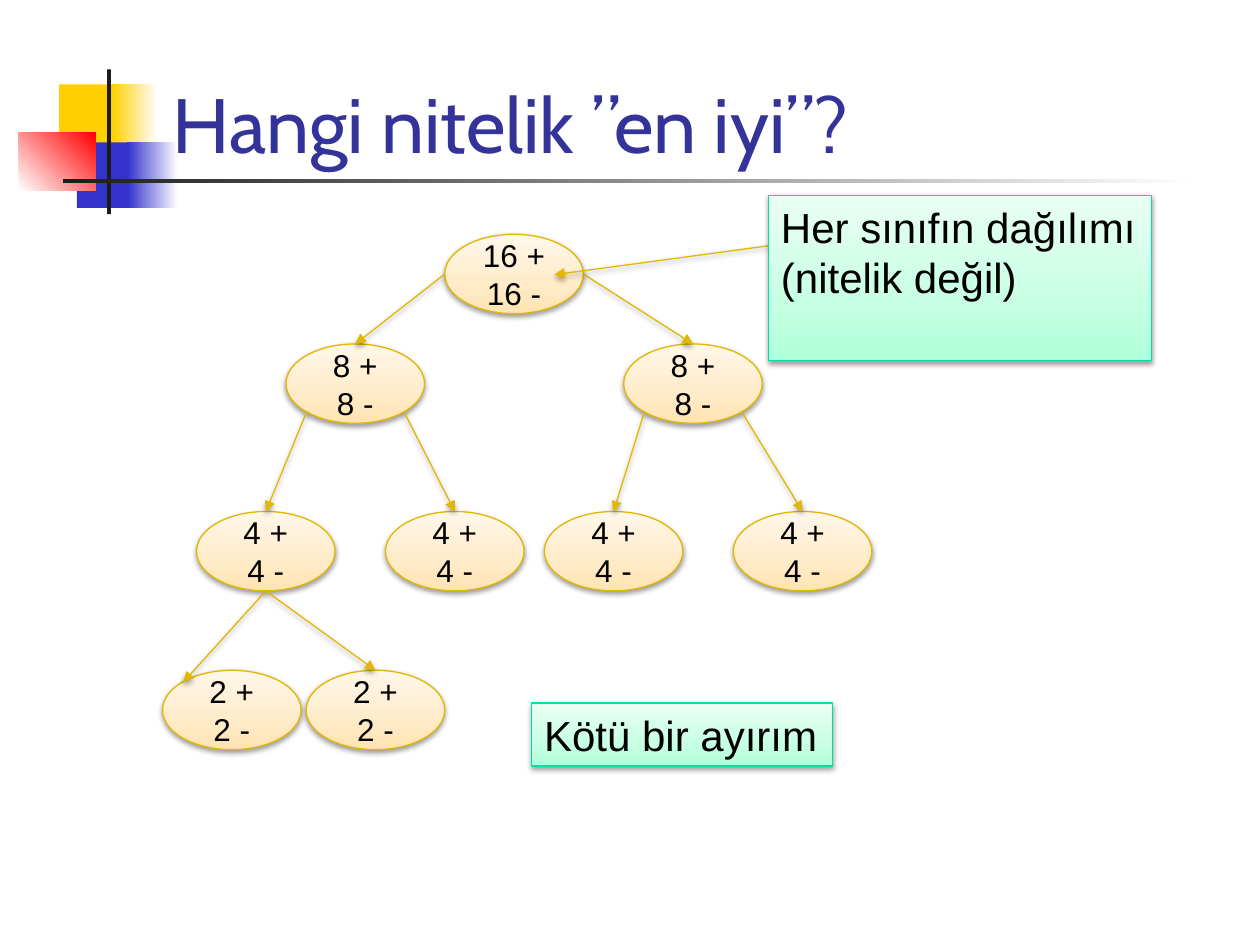
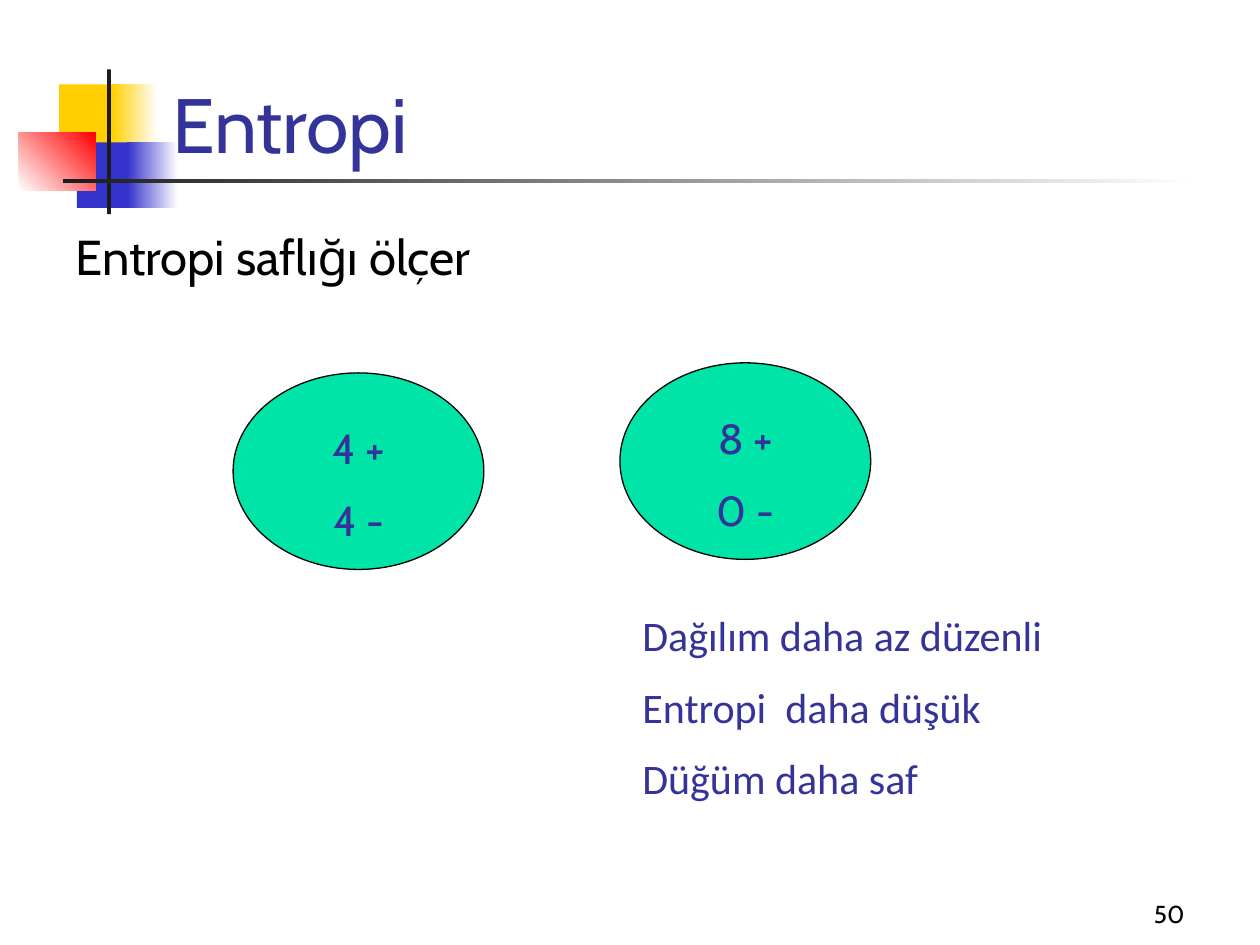
from lxml.etree import SubElement
from pptx import Presentation
from pptx.dml.color import RGBColor
from pptx.enum.shapes import MSO_CONNECTOR, MSO_SHAPE
from pptx.enum.text import MSO_ANCHOR, PP_ALIGN
from pptx.oxml.ns import qn
from pptx.util import Inches, Pt

BLACK, NAVY, GREEN, GOLD = "000000", "333399", "00E4A8", "E3B700"
CREAM = [(0, "FFE4B1"), (35, "FFEBC8"), (100, "FFF7EA")]
MINT = [(0, "B0FFDA"), (35, "C7FFE4"), (100, "EAFFF4")]


def fade(first, last):
    return [(0, first), (100, last)]


# place, fill, gradient angle (counter-clockwise)
BANDS = [
    ((0.47, 0.67, 0.48, 0.52), "FFCF01", 0),
    ((0.89, 0.67, 0.36, 0.52), fade("FFCF01", "FFFFFF"), 0),
    ((0.61, 1.13, 0.46, 0.52), "3333CC", 0),
    ((1.01, 1.13, 0.4, 0.52), fade("3333CC", "FFFFFF"), 0),
    ((0.15, 1.05, 0.61, 0.46), fade("FFFFFF", "FF0000"), 45),
    ((0.85, 0.55, 0.03, 1.15), "1C1C1C", 0),
    ((0.5, 1.42, 9, 0.03), fade("1C1C1C", "FFFFFF"), 0),
]

# Tree levels: top, count in each class, left edge of each node
NODE_W, NODE_H = 1.1, 0.63
LEVELS = [
    (1.86, 16, [3.53]),
    (2.73, 8, [2.27, 4.95]),
    (4.06, 4, [1.56, 3.06, 4.32, 5.82]),
    (5.32, 2, [1.29, 2.43]),
]
# Points on an ellipse, as shares of its width and height
SPOTS = {"top": (0.5, 0), "left": (0, 0.5), "right": (1, 0.5), "bottom": (0.5, 1),
         "nw": (0.15, 0.15), "sw": (0.15, 0.85), "se": (0.85, 0.85)}
# parent, spot on parent, child, spot on child
EDGES = [
    (0, "left", 1, "top"), (0, "right", 2, "top"),
    (1, "sw", 3, "top"), (1, "se", 4, "top"),
    (2, "sw", 5, "top"), (2, "se", 6, "top"),
    (3, "bottom", 7, "nw"), (3, "bottom", 8, "top"),
]
POINTER = ((6.18, 1.94), (4.4, 2.18))
NOTES = [
    ((4.22, 5.58, 2.39, 0.5), ["Kötü bir ayırım"]),
    ((6.1, 1.55, 3.04, 1.31), ["Her sınıfın dağılımı", "(nitelik değil)"]),
]

SETS = [((1.85, 2.96), ["4 +", "4 -"]), ((4.92, 2.88), ["8 +", "0 -"])]
FACTS = ["Dağılım daha az düzenli", "Entropi  daha düşük", "Düğüm daha saf"]


def color(code):
    return RGBColor.from_string(code)


def inches(place):
    return [Inches(n) for n in place]


def paint(shape, fill, angle=0):
    """Fill with one colour, or with a list of gradient stops."""
    if isinstance(fill, str):
        shape.fill.solid()
        shape.fill.fore_color.rgb = color(fill)
        return
    shape.fill.gradient()
    shape.fill.gradient_angle = angle
    stops = shape._element.spPr.find(".//" + qn("a:gsLst"))
    for old in list(stops):
        stops.remove(old)
    for spot, code in fill:
        stop = SubElement(stops, qn("a:gs"), pos=str(spot * 1000))
        SubElement(stop, qn("a:srgbClr"), val=code)


def shade(shape):
    """Give a soft shadow just below the shape."""
    props = shape._element.spPr
    effects = props.find(qn("a:effectLst"))
    if effects is None:
        effects = SubElement(props, qn("a:effectLst"))
    outer = SubElement(effects, qn("a:outerShdw"), blurRad="40000", dist="20000",
                       dir="5400000", rotWithShape="0")
    tint = SubElement(outer, qn("a:srgbClr"), val=BLACK)
    SubElement(tint, qn("a:alpha"), val="38000")


def draw(slide, kind, place, fill, line=None, angle=0):
    shape = slide.shapes.add_shape(kind, *inches(place))
    shape.shadow.inherit = False
    paint(shape, fill, angle)
    if line:
        shape.line.color.rgb = color(line)
        shape.line.width = Pt(0.75)
    else:
        shape.line.fill.background()
    return shape


def write(shape, lines, size, font, ink, align=PP_ALIGN.LEFT,
          anchor=MSO_ANCHOR.TOP, wrap=True, gap=0):
    frame = shape.text_frame
    frame.word_wrap = wrap
    frame.vertical_anchor = anchor
    for i, line in enumerate(lines):
        para = frame.add_paragraph() if i else frame.paragraphs[0]
        para.alignment = align
        if i and gap:
            para.space_before = Pt(gap)
        run = para.add_run()
        run.text = line
        run.font.size = Pt(size)
        run.font.name = font
        run.font.color.rgb = color(ink)
    return frame


def label(slide, place, lines, size, font, ink, **style):
    box = slide.shapes.add_textbox(*inches(place))
    return write(box, lines, size, font, ink, **style)


def start(deck, title):
    """Add a slide with the shared bands and title."""
    slide = deck.slides.add_slide(deck.slide_layouts[6])
    for place, fill, angle in BANDS:
        draw(slide, MSO_SHAPE.RECTANGLE, place, fill, angle=angle)
    label(slide, (1.27, 0.14, 8.52, 1.25), [title], 44, "Cabin", NAVY,
          anchor=MSO_ANCHOR.BOTTOM)
    return slide


def arrow(slide, begin, end):
    link = slide.shapes.add_connector(
        MSO_CONNECTOR.STRAIGHT, *inches(begin), *inches(end))
    link.line.color.rgb = color(GOLD)
    link.line.width = Pt(0.75)
    SubElement(link.line._get_or_add_ln(), qn("a:tailEnd"), type="triangle")
    shade(link)
    return link


def tree(deck):
    slide = start(deck, "Hangi nitelik ”en iyi”?")
    nodes = []
    for top, count, lefts in LEVELS:
        for left in lefts:
            node = draw(slide, MSO_SHAPE.OVAL, (left, top, NODE_W, NODE_H),
                        CREAM, GOLD, 90)
            shade(node)
            write(node, [f"{count} +", f"{count} -"], 18, "Arial", BLACK,
                  align=PP_ALIGN.CENTER, anchor=MSO_ANCHOR.MIDDLE, wrap=False)
            nodes.append((node, left, top))

    def point(index, spot):
        _, left, top = nodes[index]
        across, down = SPOTS[spot]
        return left + across * NODE_W, top + down * NODE_H

    for parent, leave, child, reach in EDGES:
        link = arrow(slide, point(parent, leave), point(child, reach))
        if reach == "top":
            link.end_connect(nodes[child][0], 0)
    arrow(slide, *POINTER)
    for place, lines in NOTES:
        note = draw(slide, MSO_SHAPE.RECTANGLE, place, MINT, "00DFA4", 90)
        shade(note)
        write(note, lines, 24, "Arial", BLACK).margin_right = 0


def purity(deck):
    slide = start(deck, "Entropi")
    label(slide, (7.42, 6.92, 2.08, 0.5), ["50"], 14, "Cabin", BLACK,
          align=PP_ALIGN.RIGHT, anchor=MSO_ANCHOR.BOTTOM)
    label(slide, (0.5, 1.75, 9, 4.95), ["Entropi saflığı ölçer"], 28, "Cabin", BLACK)
    for spot, lines in SETS:
        oval = draw(slide, MSO_SHAPE.OVAL, (*spot, 1.99, 1.56), GREEN, BLACK)
        frame = write(oval, lines, 24, "Cabin", NAVY, align=PP_ALIGN.CENTER,
                      anchor=MSO_ANCHOR.MIDDLE, wrap=False, gap=12)
        frame.margin_top = Inches(0.25)
    label(slide, (5, 4.79, 3.4, 1.72), FACTS, 24, "Calibri", NAVY, gap=12)


def main():
    deck = Presentation()
    deck.slide_width, deck.slide_height = Inches(10), Inches(7.5)
    tree(deck)
    purity(deck)
    deck.save("out.pptx")


if __name__ == "__main__":
    main()
